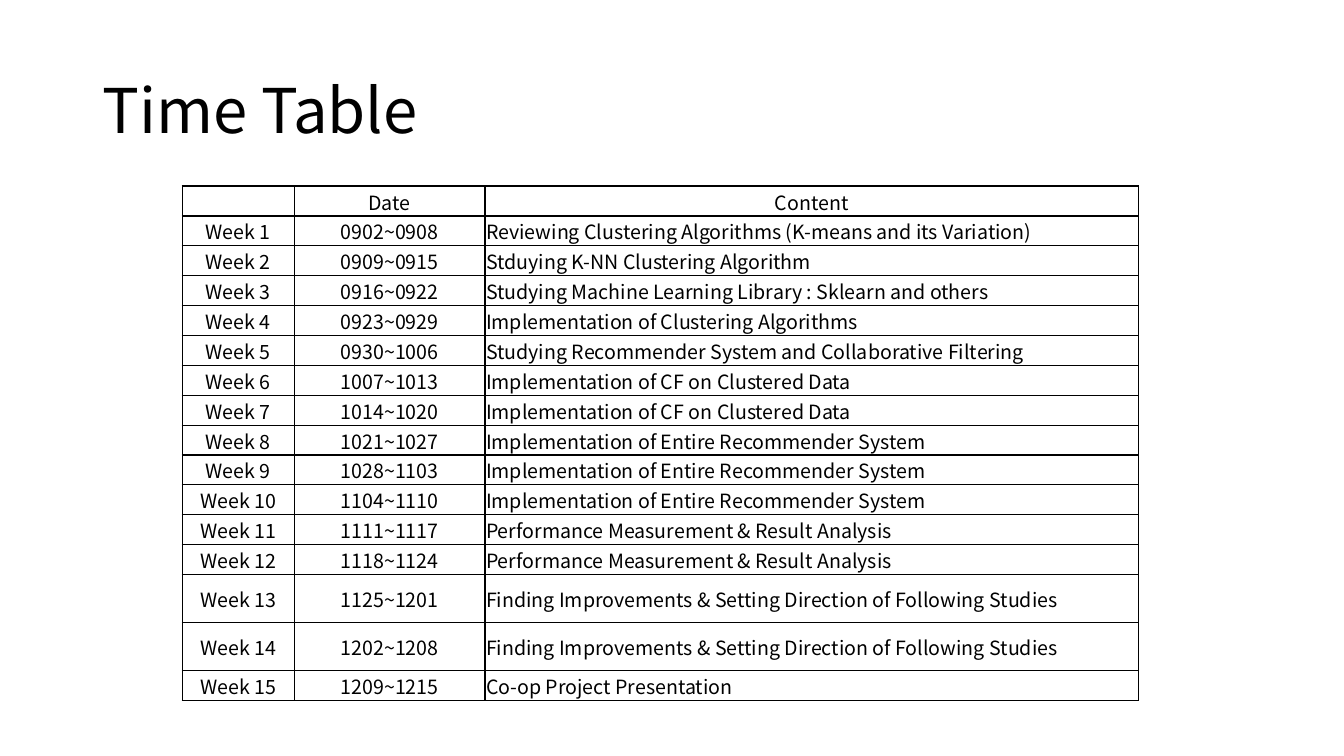
"""Build the weekly time table slide."""
from lxml.etree import SubElement
from pptx import Presentation
from pptx.dml.color import RGBColor
from pptx.enum.text import MSO_ANCHOR as Anchor, MSO_AUTO_SIZE as AutoSize, PP_ALIGN as Align
from pptx.oxml.ns import qn
from pptx.util import Pt

TITLE = "Time Table"
HEADER = ("", "Date", "Content")
SCHEDULE = [
    ("0902~0908", "Reviewing Clustering Algorithms (K-means and its Variation)"),
    ("0909~0915", "Stduying K-NN Clustering Algorithm"),
    ("0916~0922", "Studying Machine Learning Library : Sklearn and others"),
    ("0923~0929", "Implementation of Clustering Algorithms"),
    ("0930~1006", "Studying Recommender System and Collaborative Filtering"),
    ("1007~1013", "Implementation of CF on Clustered Data"),
    ("1014~1020", "Implementation of CF on Clustered Data"),
    ("1021~1027", "Implementation of Entire Recommender System"),
    ("1028~1103", "Implementation of Entire Recommender System"),
    ("1104~1110", "Implementation of Entire Recommender System"),
    ("1111~1117", "Performance Measurement & Result Analysis"),
    ("1118~1124", "Performance Measurement & Result Analysis"),
    ("1125~1201", "Finding Improvements & Setting Direction of Following Studies"),
    ("1202~1208", "Finding Improvements & Setting Direction of Following Studies"),
    ("1209~1215", "Co-op Project Presentation"),
]
COLORS = {"text": "000000", "border": "000000"}
FONT = "Noto Sans CJK KR"
TITLE_SIZE, CELL_SIZE = 44, 14
COLUMN_WIDTHS = (80, 136.3, 466.5)
ROW_HEIGHT, TALL_HEIGHT = 21.37, 34.3
TALL_WEEKS = (13, 14)
TABLE_LEFT, TABLE_TOP = 130.2, 132.9
TITLE_FORMAT = {"left": Pt(66), "top": Pt(28.75), "width": Pt(828), "height": Pt(104.4)}
TITLE_FRAME = {"word_wrap": True, "auto_size": AutoSize.NONE, "vertical_anchor": Anchor.MIDDLE}
CELL_FORMAT = {
    "vertical_anchor": Anchor.MIDDLE,
    "margin_left": Pt(0.72),
    "margin_right": Pt(0.72),
    "margin_top": Pt(0.72),
    "margin_bottom": Pt(0),
}


def apply(target, values):
    for name, value in values.items():
        setattr(target, name, value)


def write(para, text, size, align):
    para.alignment = align
    if not text:
        para._p.get_or_add_endParaRPr().set("sz", str(size * 100))
        return
    span = para.add_run()
    span.text = text
    apply(span.font, {"name": FONT, "size": Pt(size)})
    span.font.color.rgb = RGBColor.from_string(COLORS["text"])


def add_borders(cell):
    properties = cell._tc.get_or_add_tcPr()
    for side in ("L", "R", "T", "B"):
        line = SubElement(properties, qn(f"a:ln{side}"), w=str(Pt(1)))
        fill = SubElement(line, qn("a:solidFill"))
        SubElement(fill, qn("a:srgbClr"), val=COLORS["border"])


deck = Presentation()
apply(deck, {"slide_width": Pt(960), "slide_height": Pt(540)})
page = deck.slides.add_slide(deck.slide_layouts[5])

title = page.shapes.title
apply(title, TITLE_FORMAT)
apply(title.text_frame, TITLE_FRAME)
heading = title.text_frame.paragraphs[0]
heading.line_spacing = 0.9
write(heading, TITLE, TITLE_SIZE, Align.LEFT)

rows = [HEADER] + [(f"Week {week}", *entry) for week, entry in enumerate(SCHEDULE, 1)]
heights = [TALL_HEIGHT if week in TALL_WEEKS else ROW_HEIGHT for week in range(len(rows))]
table = page.shapes.add_table(
    len(rows), len(HEADER), Pt(TABLE_LEFT), Pt(TABLE_TOP),
    Pt(sum(COLUMN_WIDTHS)), Pt(sum(heights)),
).table
apply(table, {"first_row": False, "horz_banding": False})
for column, width in zip(table.columns, COLUMN_WIDTHS):
    column.width = Pt(width)
for week, (row, height) in enumerate(zip(rows, heights)):
    table.rows[week].height = Pt(height)
    for index, text in enumerate(row):
        cell = table.cell(week, index)
        apply(cell, CELL_FORMAT)
        add_borders(cell)
        cell.fill.background()
        is_content = week > 0 and index == 2
        align = Align.LEFT if is_content else Align.CENTER
        write(cell.text_frame.paragraphs[0], text, CELL_SIZE, align)

deck.save("out.pptx")
